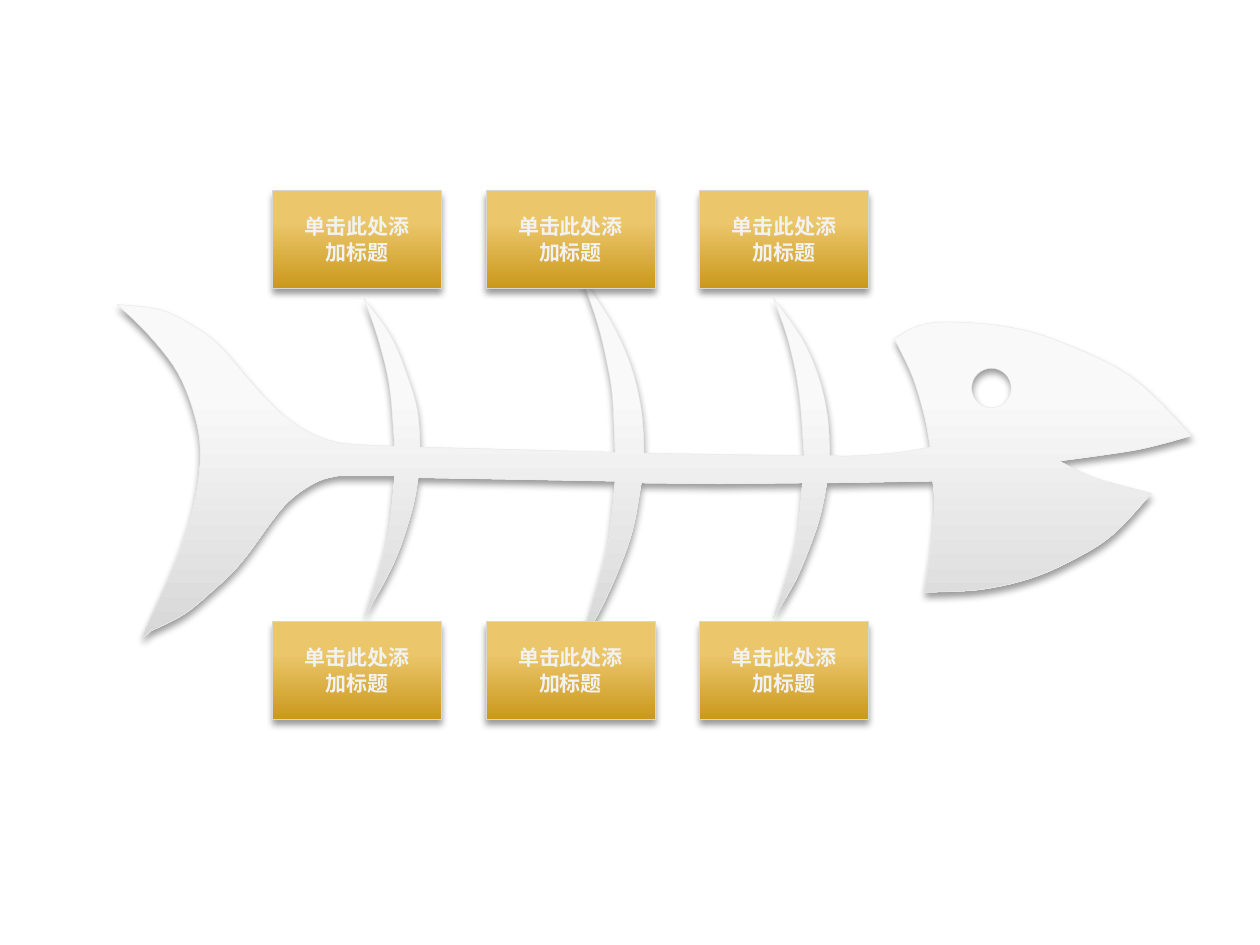
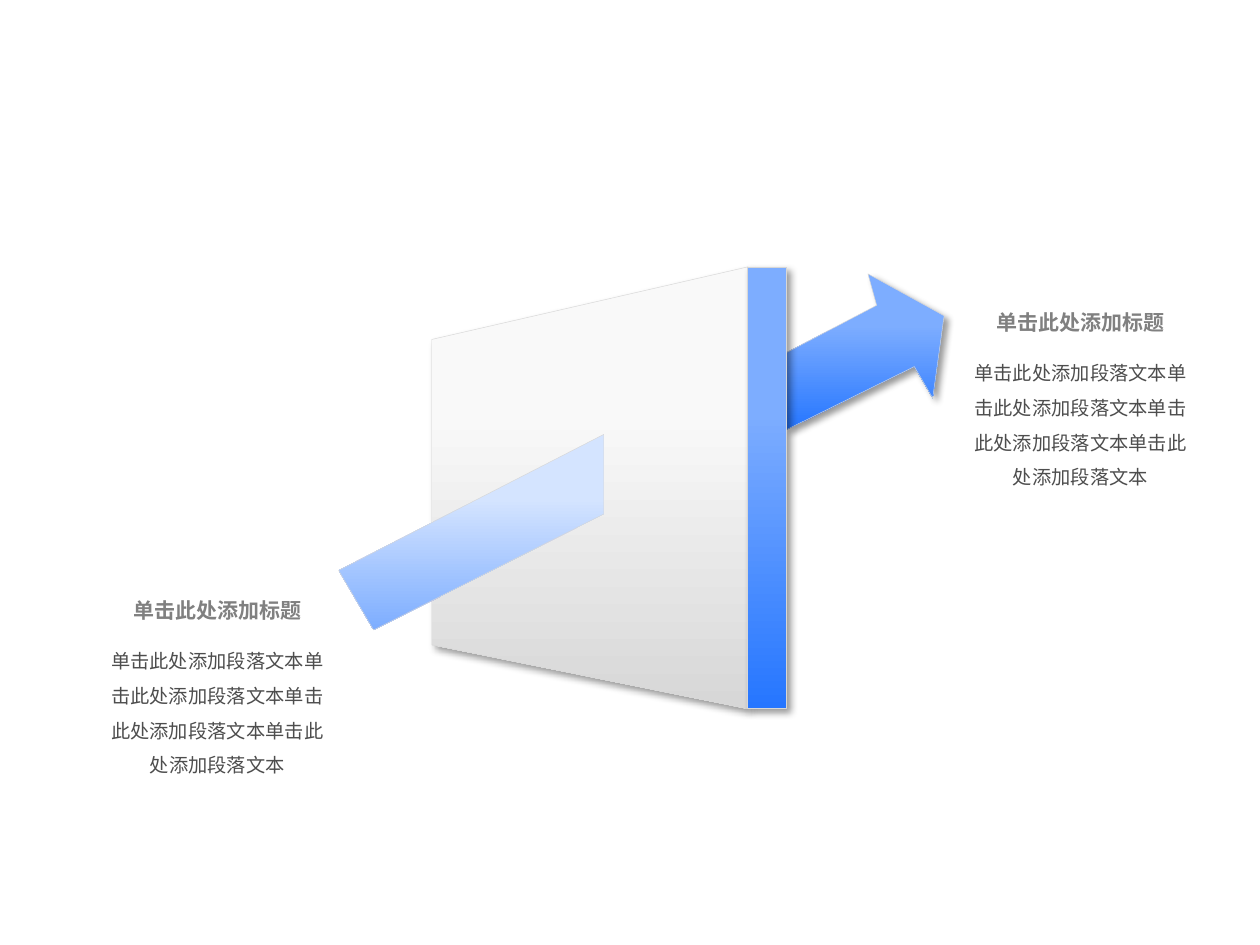
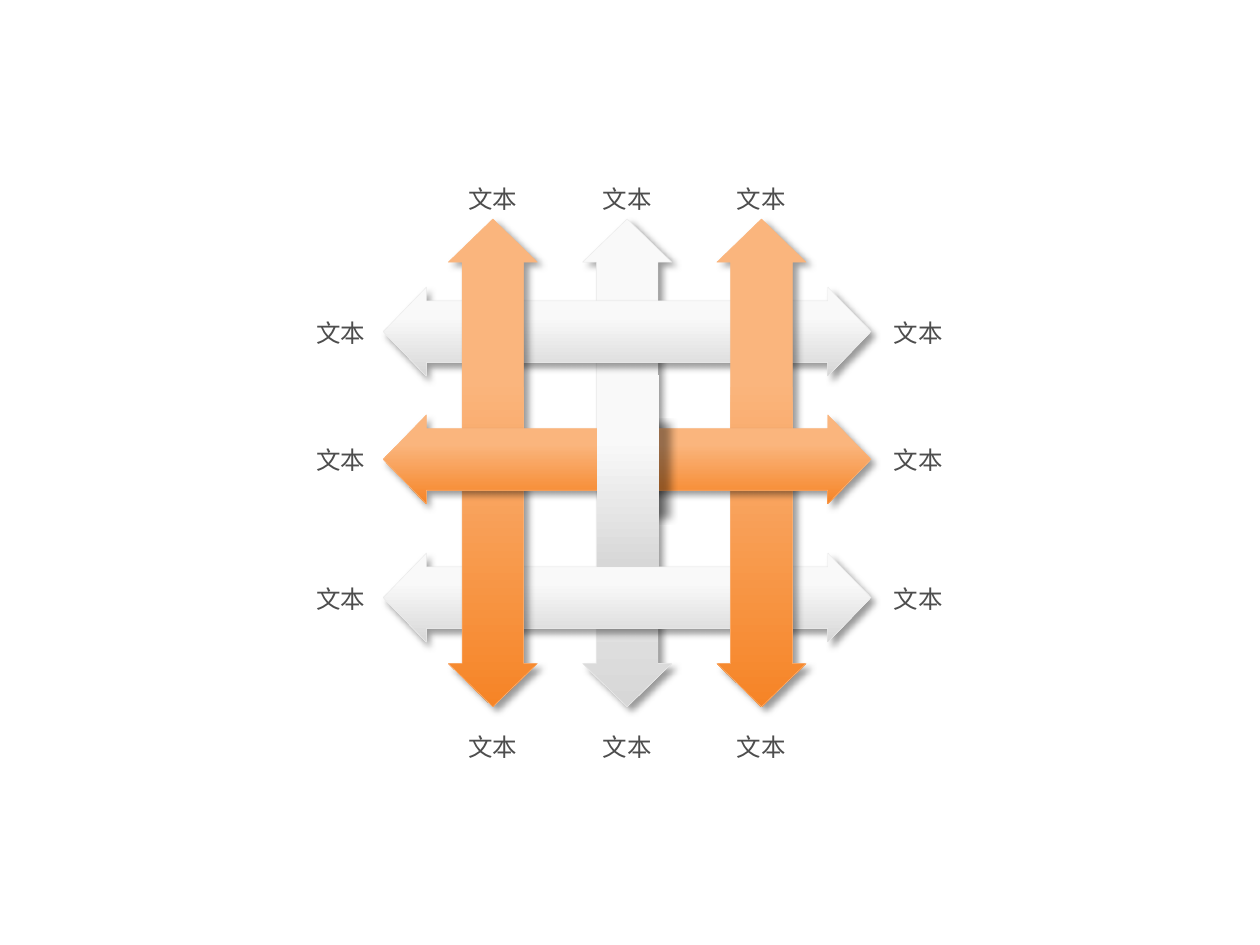
"""Build three diagram slides: a fishbone, an arrow through a wall and woven arrows."""
import dataclasses
import itertools
import math
import typing

import lxml.etree
import pptx
import pptx.dml.color
import pptx.enum.shapes
import pptx.enum.text
import pptx.oxml.ns
import pptx.util

Pt = pptx.util.Pt
Preset = pptx.enum.shapes.MSO_SHAPE
Point = tuple[float, float]


class Box(typing.NamedTuple):
    left: float
    top: float
    width: float
    height: float

    def lengths(self) -> list[int]:
        return [Pt(value) for value in self]


class Gradient(typing.NamedTuple):
    light: str
    dark: str
    start: float = 0.33


class Shadow(typing.NamedTuple):
    direction: int
    blur: float = 4
    distance: float = 3
    scale_x: int = 100
    scale_y: int = 100


class TextStyle(typing.NamedTuple):
    size: float
    color: str
    bold: bool = False
    line_spacing: float | None = None
    wrap: bool = True


class Look(typing.NamedTuple):
    gradient: Gradient
    line: str | None
    shadow: Shadow | None


@dataclasses.dataclass(frozen=True)
class Theme:
    font: str = "Noto Sans CJK SC"
    outline: str = "D7D7D7"
    pale_outline: str = "EAEAEA"
    orange_outline: str = "FAB57D"
    line_width: float = 0.25
    silver: Gradient = Gradient("F9F9F9", "D7D7D7")
    gold: Gradient = Gradient("EBC66B", "CA981C")
    blue: Gradient = Gradient("7DADFF", "2676FF")
    pale_blue: Gradient = Gradient("D4E4FF", "7DADFF")
    orange: Gradient = Gradient("FAB57D", "F68426")
    below: Shadow = Shadow(90)
    diagonal: Shadow = Shadow(45)
    box_title: TextStyle = TextStyle(12, "F2F2F2", bold=True)
    heading: TextStyle = TextStyle(12, "808080", bold=True)
    body: TextStyle = TextStyle(11, "4D4D4D", line_spacing=1.5)
    label: TextStyle = TextStyle(14, "4D4D4D", wrap=False)


THEME = Theme()
TITLE = "单击此处添加标题"
PARAGRAPH = "单击此处添加段落文本" * 4
LABEL = "文本"

FISH_CURVES: list[list[Point]] = [
    [(681, 249), (646, 215), (603.5, 194.5), (574, 186.5), (541.5, 184), (524, 186.5), (511, 193.5)],
    [(511, 193.5), (521.5, 215.5), (528.5, 239), (531.5, 255.5)],
    [(531.5, 255.5), (514, 258.5), (489.5, 260.5), (474, 260.5)],
    [(474, 260.5), (473, 239), (468, 216), (458, 193), (442, 170.5)],
    [(442, 170.5), (450.5, 195), (456.5, 224), (459.5, 260.5)],
    [(368, 259), (366.5, 234.5), (360.5, 209), (349, 183.5), (332, 157.5)],
    [(332, 157.5), (341.5, 185), (347, 208), (350, 227), (351.5, 258.5)],
    [(240, 255.5), (238.5, 234.5), (232.5, 214), (223, 191.5), (208, 170.5)],
    [(208, 170.5), (216, 193.5), (222.5, 220.5), (225.5, 255)],
    [(225.5, 255), (204, 254), (191.5, 252.5), (176.5, 247), (160.5, 236), (144.5, 219.5),
     (125.5, 197.5), (110, 186), (91.5, 177), (67, 174)],
    [(67, 174), (85, 191.5), (101.5, 213), (111.5, 238.5), (114.5, 260.5), (111, 288),
     (101.5, 318), (82, 362)],
    [(81.5, 364.5), (86.5, 360.5)],
    [(86.5, 360.5), (104.5, 351.5), (120, 339), (137.5, 322), (157.5, 295), (168.5, 283.5),
     (182, 275), (193, 272)],
    [(225.5, 272), (222.5, 301), (218, 321), (208, 353)],
    [(208, 353), (221, 330), (229, 312), (236, 289.5), (239, 273)],
    [(351.5, 275), (348, 307.5), (342.5, 330), (332, 366)],
    [(332, 366), (341.5, 351.5), (353, 327), (361.5, 303), (366.5, 276)],
    [(411, 276.5), (458.5, 276)],
    [(458.5, 276), (456, 303), (451.5, 322.5), (442, 353)],
    [(442, 353), (455, 331), (465, 306.5), (469.5, 291.5), (472.5, 276)],
    [(533, 275), (534, 290), (532, 314), (528, 338.5)],
    [(528, 338.5), (560, 337), (589, 330.5), (614, 319.5), (636, 305.5), (658, 282)],
    [(658, 282), (630, 274.5), (617, 269.5), (605.5, 263.5)],
    [(605.5, 263.5), (644.5, 258), (663, 254), (681, 249)],
]


def smooth_curve(knots: list[Point], steps: int = 5) -> list[Point]:
    """Return points of a Catmull-Rom curve through the knots."""
    padded = [knots[0], *knots, knots[-1]]
    points = [knots[0]]
    for before, start, end, after in zip(padded, padded[1:], padded[2:], padded[3:]):
        for step in range(1, steps + 1):
            t = step / steps
            x, y = (
                b + ((c - a) * t + (2 * a - 5 * b + 4 * c - d) * t**2
                     + (3 * b - a - 3 * c + d) * t**3) / 2
                for a, b, c, d in zip(before, start, end, after)
            )
            points.append((x, y))
    return points


def circle(center: Point, radius: float, count: int = 32) -> list[Point]:
    """Return points around a circle."""
    angles = [2 * math.pi * index / count for index in range(count)]
    return [(center[0] + radius * math.cos(a), center[1] + radius * math.sin(a)) for a in angles]


def apply_look(shape, look: Look, angle: int = 270) -> None:
    """Give a shape its gradient, outline and shadow."""
    gradient, line, shadow = look
    shape.shadow.inherit = False
    shape.fill.gradient()
    shape.fill.gradient_angle = angle
    stops = zip(shape.fill.gradient_stops, (gradient.start, 1), (gradient.light, gradient.dark))
    for stop, position, color in stops:
        stop.position = position
        stop.color.rgb = pptx.dml.color.RGBColor.from_string(color)
    if line:
        shape.line.color.rgb = pptx.dml.color.RGBColor.from_string(line)
        shape.line.width = Pt(THEME.line_width)
    else:
        shape.line.fill.background()
    if shadow:
        add_shadow(shape, shadow)


def add_shadow(shape, shadow: Shadow) -> None:
    """Add a soft black outer shadow to a shape."""
    qualified = pptx.oxml.ns.qn
    effects = shape._element.spPr.find(qualified("a:effectLst"))
    outer = lxml.etree.SubElement(
        effects, qualified("a:outerShdw"),
        blurRad=str(Pt(shadow.blur)), dist=str(Pt(shadow.distance)),
        dir=str(shadow.direction * 60000), sx=str(shadow.scale_x * 1000),
        sy=str(shadow.scale_y * 1000), algn="ctr", rotWithShape="0")
    color = lxml.etree.SubElement(outer, qualified("a:srgbClr"), val="000000")
    lxml.etree.SubElement(color, qualified("a:alpha"), val="40000")


def add_rectangle(slide, box: Box, look: Look) -> None:
    """Draw a rectangle."""
    apply_look(slide.shapes.add_shape(Preset.RECTANGLE, *box.lengths()), look)


def add_double_arrow(slide, box: Box, look: Look, upright: bool = False) -> None:
    """Draw a two-headed arrow, lying or upright."""
    shape = slide.shapes.add_shape(Preset.LEFT_RIGHT_ARROW, *box.lengths())
    shape.adjustments[0], shape.adjustments[1] = 0.69, 0.485
    shape.rotation = 90 if upright else 0
    apply_look(shape, look, 0 if upright else 270)


def add_outline(slide, look: Look, *contours: list[Point]) -> None:
    """Draw a closed freeform with one or more contours."""
    scaled = [[(Pt(x), Pt(y)) for x, y in contour] for contour in contours]
    builder = slide.shapes.build_freeform(*scaled[0][0])
    builder.add_line_segments(scaled[0][1:], close=True)
    for contour in scaled[1:]:
        builder.move_to(*contour[0])
        builder.add_line_segments(contour[1:], close=True)
    apply_look(builder.convert_to_shape(), look)


def add_text(slide, box: Box, text: str, style: TextStyle) -> None:
    """Add a centred text box."""
    text_frame = slide.shapes.add_textbox(*box.lengths()).text_frame
    text_frame.text = text
    text_frame.word_wrap = style.wrap
    text_frame.auto_size = pptx.enum.text.MSO_AUTO_SIZE.SHAPE_TO_FIT_TEXT
    paragraph = text_frame.paragraphs[0]
    paragraph.alignment = pptx.enum.text.PP_ALIGN.CENTER
    if style.line_spacing:
        paragraph.line_spacing = style.line_spacing
    run = paragraph.runs[0]
    run.font.size = Pt(style.size)
    run.font.bold = style.bold
    run.font.color.rgb = pptx.dml.color.RGBColor.from_string(style.color)
    run.font.name = THEME.font
    lxml.etree.SubElement(run.font._element, pptx.oxml.ns.qn("a:ea"), typeface=THEME.font)


def build_fishbone(slide) -> None:
    """Draw the fish skeleton with six title boxes."""
    body = list(itertools.chain.from_iterable(
        smooth_curve(curve) if len(curve) > 2 else curve for curve in FISH_CURVES))
    fish = Look(THEME.silver, THEME.pale_outline, THEME.below)
    add_outline(slide, fish, body, circle((566.5, 221.75), 11.3))
    title_box = Look(THEME.gold, THEME.outline, THEME.below)
    corners = [(155.75 + 122 * column, top) for top in (108.75, 355) for column in range(3)]
    for left, top in corners:
        add_rectangle(slide, Box(left, top, 96.5, 56), title_box)
    for left, top in corners:
        add_text(slide, Box(left + 8.5, top + 10, 79.5, 36.5), TITLE, THEME.box_title)


def build_wall(slide) -> None:
    """Draw the arrow passing through a wall with a text on each side."""
    blue = Look(THEME.blue, THEME.outline, THEME.diagonal)
    add_outline(slide, blue, [(449.5, 201.5), (501, 174.5), (496, 156.5), (539.5, 180.5),
                              (533, 227.5), (522.5, 209.5), (449.5, 245.5)])
    add_outline(slide, Look(THEME.silver, THEME.outline, THEME.diagonal),
                [(246.75, 194), (427.5, 152.5), (427, 405), (246.75, 368.5)])
    add_rectangle(slide, Box(427, 152.75, 22.5, 252), blue)
    add_outline(slide, Look(THEME.pale_blue, THEME.outline, None),
                [(193.5, 326), (345, 248.25), (345, 293.75), (213.5, 360)])
    for left, top in ((548, 173.5), (54.75, 338)):
        add_text(slide, Box(left, top + 23, 139, 87), PARAGRAPH, THEME.body)
        add_text(slide, Box(left, top, 139, 22.5), TITLE, THEME.heading)


def build_weave(slide) -> None:
    """Draw three lying and three upright arrows woven together, with labels."""
    length, thickness, left, upright_top = 278.75, 51, 219, 239
    columns = [left + 76.75 * offset for offset in (-1, 0, 1)]
    rows = (164, 237, 316)
    silver = Look(THEME.silver, THEME.pale_outline, THEME.diagonal)
    orange = Look(THEME.orange, THEME.orange_outline, THEME.diagonal)
    silver_upright = silver._replace(gradient=THEME.silver._replace(start=0.44))
    arrows = [
        (columns[1], upright_top, silver_upright, True),
        (left, rows[0], silver, False),
        (left, rows[2], silver, False),
        (columns[0], upright_top, orange, True),
        (columns[2], upright_top, orange, True),
        (left, rows[1], orange, False),
    ]
    for arrow_left, top, look, upright in arrows:
        add_double_arrow(slide, Box(arrow_left, top, length, thickness), look, upright)
    band_shadow = Shadow(0, blur=5, distance=11, scale_x=75, scale_y=50)
    add_rectangle(slide, Box(341.25, 214.5, 35.25, 109.5), Look(THEME.silver, None, band_shadow))
    label_width, label_height = 42.5, 24.5
    centered = [column + (length - label_width) / 2 for column in columns]
    places = list(itertools.product(centered, (101.5, 414.5)))
    places += itertools.product((173.5, 503.5), [row + 14 for row in rows])
    for label_left, top in places:
        add_text(slide, Box(label_left, top, label_width, label_height), LABEL, THEME.label)


def main() -> None:
    """Build and save the presentation."""
    presentation = pptx.Presentation()
    presentation.slide_width, presentation.slide_height = Pt(720), Pt(540)
    for build in (build_fishbone, build_wall, build_weave):
        build(presentation.slides.add_slide(presentation.slide_layouts[6]))
    presentation.save("out.pptx")


if __name__ == "__main__":
    main()
